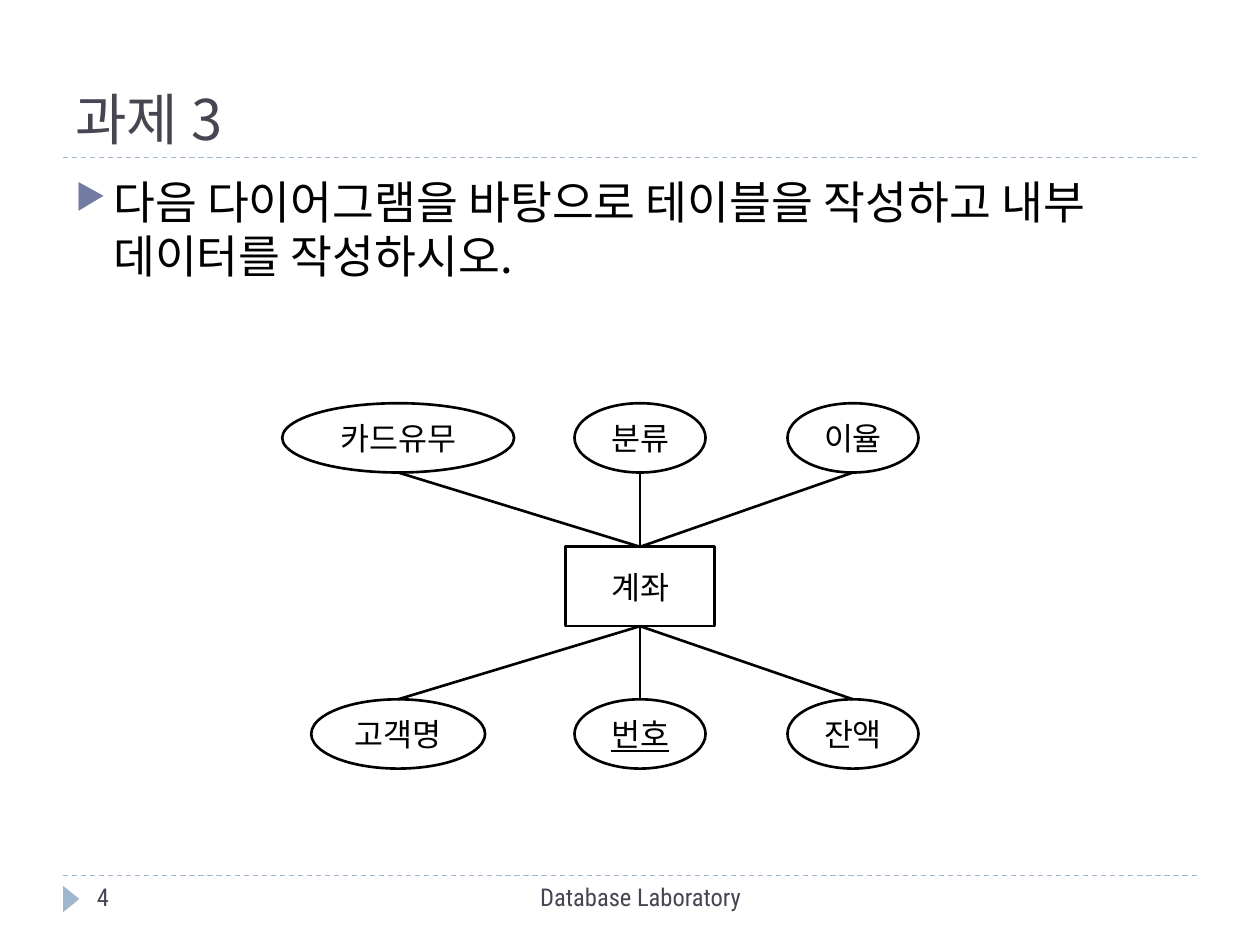
from dataclasses import dataclass

from lxml.etree import SubElement
from pptx import Presentation
from pptx.dml.color import RGBColor
from pptx.enum.dml import MSO_LINE as Dash
from pptx.enum.shapes import MSO_CONNECTOR as Link, MSO_SHAPE as Shape
from pptx.enum.text import MSO_ANCHOR as Anchor, PP_ALIGN as Align
from pptx.oxml.ns import qn
from pptx.util import Inches, Pt


@dataclass(frozen=True)
class Theme:
    ink: str = "000000"
    heading: str = "464653"
    accent: str = "9FB8CD"
    bullet: str = "727CA3"
    paper: str = "FFFFFF"
    korean: str = "Noto Sans CJK KR"
    label: str = "Calibri"
    footer: str = "Roboto Condensed"
    title_size: int = 32
    body_size: int = 26
    label_size: int = 18
    footer_size: int = 14
    outline: float = 1.5
    rule: float = 0.75


class Sheet:
    COLUMNS, ROWS = 100, 75

    def __init__(self, deck, theme):
        self.theme = theme
        self.slide = deck.slides.add_slide(deck.slide_layouts[6])
        self.column = deck.slide_width / self.COLUMNS
        self.row = deck.slide_height / self.ROWS

    def place(self, x, y):
        return round(x * self.column), round(y * self.row)

    def fill_text(self, frame, words, font, size, color, align=Align.LEFT, underline=None):
        frame.text = words
        paragraph = frame.paragraphs[0]
        paragraph.alignment = align
        run = paragraph.runs[0]
        run.font.name = font
        run.font.size = Pt(size)
        run.font.color.rgb = RGBColor.from_string(color)
        run.font.underline = underline
        east_asian = SubElement(run._r.get_or_add_rPr(), qn("a:ea"))
        east_asian.set("typeface", self.theme.korean)
        return paragraph

    def text(self, x, y, width, height, words, font, size, color,
             align=Align.LEFT, anchor=Anchor.TOP):
        box = self.slide.shapes.add_textbox(*self.place(x, y), *self.place(width, height))
        frame = box.text_frame
        frame.word_wrap = True
        frame.vertical_anchor = anchor
        return self.fill_text(frame, words, font, size, color, align)

    def bullet(self, paragraph):
        paragraph.space_before = Pt(6)
        properties = paragraph._p.get_or_add_pPr()
        properties.set("marL", str(Inches(0.3)))
        properties.set("indent", str(-Inches(0.3)))
        color = SubElement(properties, qn("a:buClr"))
        SubElement(color, qn("a:srgbClr")).set("val", self.theme.bullet)
        SubElement(properties, qn("a:buSzPct")).set("val", "76000")
        SubElement(properties, qn("a:buChar")).set("char", "▶")

    def line(self, start, end, color, width, dash=None):
        link = self.slide.shapes.add_connector(
            Link.STRAIGHT, *self.place(*start), *self.place(*end))
        link.line.color.rgb = RGBColor.from_string(color)
        link.line.width = Pt(width)
        link.line.dash_style = dash
        SubElement(link._element.spPr, qn("a:effectLst"))

    def rule(self, y):
        self.line((5, y), (95, y), self.theme.accent, self.theme.rule, Dash.DASH)

    def shape(self, kind, x, y, width, height, fill):
        shape = self.slide.shapes.add_shape(
            kind, *self.place(x, y), *self.place(width, height))
        shape.shadow.inherit = False
        shape.fill.solid()
        shape.fill.fore_color.rgb = RGBColor.from_string(fill)
        shape.line.fill.background()
        return shape

    def marker(self, x, y, width, height):
        self.shape(Shape.ISOSCELES_TRIANGLE, x, y, width, height,
                   self.theme.accent).rotation = 90

    def node(self, kind, center, y, width, height, words, underline=None):
        theme = self.theme
        node = self.shape(kind, center - width / 2, y, width, height, theme.paper)
        node.line.color.rgb = RGBColor.from_string(theme.ink)
        node.line.width = Pt(theme.outline)
        node.text_frame.word_wrap = False
        node.text_frame.vertical_anchor = Anchor.MIDDLE
        self.fill_text(node.text_frame, words, theme.label, theme.label_size,
                       theme.ink, Align.CENTER, underline)


def draw_diagram(sheet):
    theme = sheet.theme
    middle, entity_top, entity_height = 50.8, 43.4, 6.3
    entity_bottom = entity_top + entity_height
    upper, lower, oval_height = 32, 55.5, 5.5
    centers = (31.6, middle, 67.7)
    attributes = (
        (upper, upper + oval_height, entity_top,
         (("카드유무", 18.4), ("분류", 10.4), ("이율", 10.4))),
        (lower, lower, entity_bottom,
         (("고객명", 13.8), ("번호", 10.4), ("잔액", 10.4))),
    )
    key = "번호"

    sheet.node(Shape.RECTANGLE, middle, entity_top, 11.8, entity_height, "계좌")
    for top, joint, entity_edge, ovals in attributes:
        for center, (words, width) in zip(centers, ovals):
            sheet.node(Shape.OVAL, center, top, width, oval_height, words,
                       True if words == key else None)
            sheet.line((center, joint), (middle, entity_edge), theme.ink, theme.outline)


def main():
    deck = Presentation()
    deck.slide_width, deck.slide_height = Inches(10), Inches(7.5)
    theme = Theme()
    sheet = Sheet(deck, theme)

    for y in (69.5, 12.5):
        sheet.rule(y)
    sheet.marker(4.6, 70.7, 2.1, 1.3)
    sheet.text(5, 1.7, 90, 10.8, "과제 3", theme.korean, theme.title_size,
               theme.heading, anchor=Anchor.BOTTOM)
    task = sheet.text(5, 13.3, 90, 54,
                      "다음 다이어그램을 바탕으로 테이블을 작성하고 내부 데이터를 작성하시오.",
                      theme.korean, theme.body_size, theme.ink)
    sheet.bullet(task)
    for x, width, words, align in ((31.7, 38.3, "Database Laboratory", Align.CENTER),
                                   (6.7, 21.7, "4", Align.LEFT)):
        sheet.text(x, 69.5, width, 4, words, theme.footer, theme.footer_size,
                   theme.heading, align)
    draw_diagram(sheet)
    deck.save("out.pptx")


if __name__ == "__main__":
    main()
